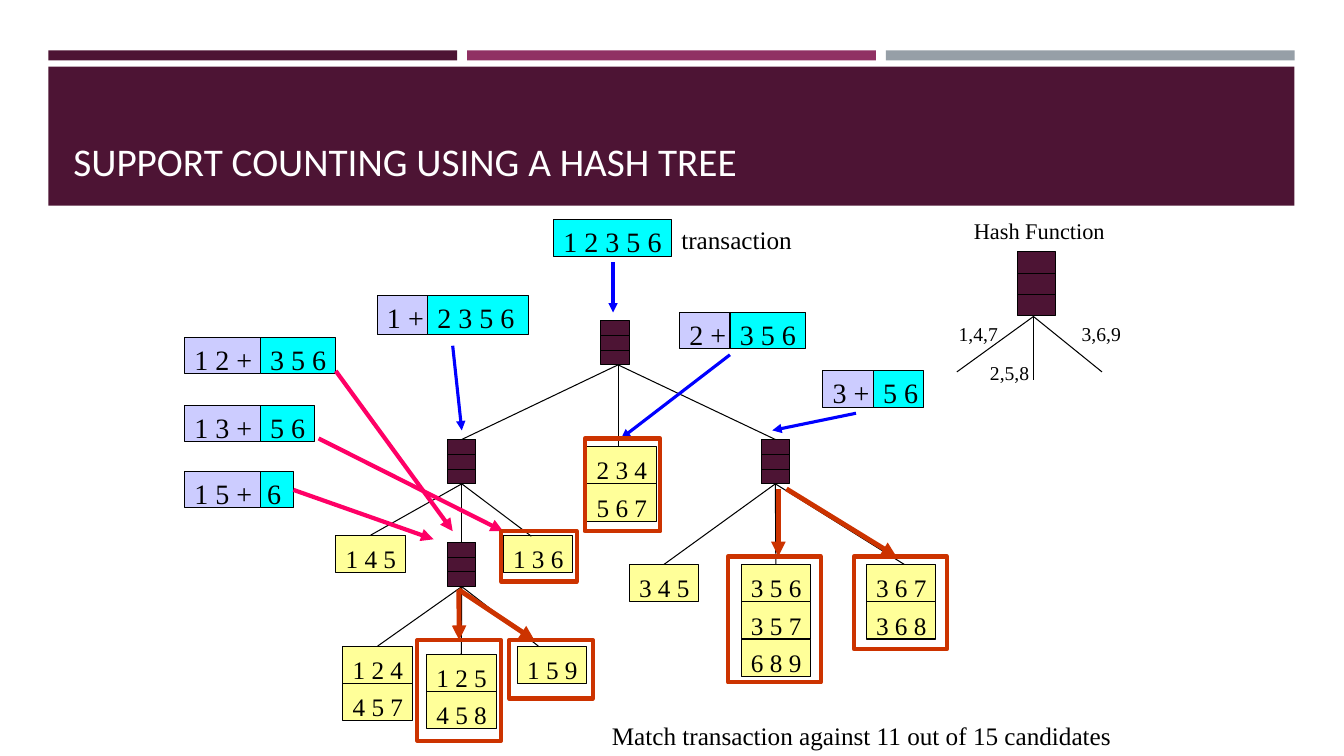
from dataclasses import dataclass

from lxml import etree
from pptx import Presentation
from pptx import util as u
from pptx.dml.color import RGBColor
from pptx.enum import shapes, text
from pptx.oxml import ns


@dataclass(frozen=True)
class Theme:
    """Colours, fonts and type sizes of the slide."""
    plum: str = "4D1434"
    berry: str = "903163"
    grey: str = "969FA7"
    black: str = "000000"
    white: str = "FFFFFF"
    candidate: str = "FFFF99"
    prefix: str = "CCCCFF"
    items: str = "00FFFF"
    first_level: str = "0000FF"
    second_level: str = "FF0066"
    match: str = "CC3300"
    title_font: str = "Calibri"
    body_font: str = "Times New Roman"
    title_size: int = 28
    itemset_size: int = 20
    body_size: int = 18
    key_size: int = 16
    branch_size: int = 14
    hairline: float = 0.75


@dataclass(frozen=True)
class Box:
    """A region in inches."""
    left: float
    top: float
    width: float
    height: float

    def inner(self, left, top, width, height):
        """Return a box placed relative to this one."""
        return Box(self.left + left, self.top + top, width, height)

    def point(self, spot):
        """Return a spot relative to this box as slide coordinates."""
        return self.left + spot[0], self.top + spot[1]

    def lengths(self):
        """Return left, top, width and height as lengths."""
        return [u.Inches(v) for v in (self.left, self.top, self.width, self.height)]


THEME = Theme()
TOLERANCE = u.Inches(0.025)


def write(frame, words, size, color=THEME.black, font=THEME.body_font):
    """Write one left-aligned paragraph."""
    line = frame.paragraphs[0]
    line.text = words
    line.alignment = text.PP_ALIGN.LEFT
    line.font.size = u.Pt(size)
    line.font.name = font
    line.font.color.rgb = RGBColor.from_string(color)


def label(slide, box, words, size, wrap=False):
    """Add free-standing text."""
    frame = slide.shapes.add_textbox(*box.lengths()).text_frame
    frame.word_wrap = wrap
    write(frame, words, size)
    return frame


def rect(slide, box, fill=None, line=None, weight=THEME.hairline):
    """Add a plain rectangle."""
    shape = slide.shapes.add_shape(shapes.MSO_SHAPE.RECTANGLE, *box.lengths())
    shape.shadow.inherit = False
    if fill:
        shape.fill.solid()
        shape.fill.fore_color.rgb = RGBColor.from_string(fill)
    else:
        shape.fill.background()
    if line:
        shape.line.color.rgb = RGBColor.from_string(line)
        shape.line.width = u.Pt(weight)
    else:
        shape.line.fill.background()
    return shape


def itemset(slide, box, words, fill, size, inset_top=0.05, inset_left=0.1):
    """Add an outlined cell holding items."""
    frame = rect(slide, box, fill, THEME.black).text_frame
    frame.word_wrap = True
    frame.vertical_anchor = text.MSO_ANCHOR.TOP
    frame.margin_left, frame.margin_top = u.Inches(inset_left), u.Inches(inset_top)
    frame.margin_right = frame.margin_bottom = 0
    write(frame, words, size)


def side_at(slide, x, y):
    """Find the rectangle and side whose middle lies at a point."""
    for shape in slide.shapes:
        if shape.shape_type != shapes.MSO_SHAPE_TYPE.AUTO_SHAPE:
            continue
        left, top, width, height = shape.left, shape.top, shape.width, shape.height
        middles = ((left + width / 2, top), (left, top + height / 2),
                   (left + width / 2, top + height), (left + width, top + height / 2))
        for side, (mid_x, mid_y) in enumerate(middles):
            if max(abs(mid_x - x), abs(mid_y - y)) <= TOLERANCE:
                return shape, side
    return None


def connect(slide, start, end, color=THEME.black, weight=THEME.hairline, arrow=False):
    """Draw a straight line, joined to the rectangles it meets mid-side."""
    x1, y1, x2, y2 = [u.Inches(v) for v in (*start, *end)]
    edge = slide.shapes.add_connector(shapes.MSO_CONNECTOR.STRAIGHT, x1, y1, x2, y2)
    edge.line.color.rgb = RGBColor.from_string(color)
    edge.line.width = u.Pt(weight)
    if arrow:
        etree.SubElement(edge.line._get_or_add_ln(), ns.qn("a:tailEnd"), type="triangle")
    etree.SubElement(edge._element.spPr, ns.qn("a:effectLst"))
    for join, spot in ((edge.begin_connect, (x1, y1)), (edge.end_connect, (x2, y2))):
        met = side_at(slide, *spot)
        if met:
            join(*met)


def hash_node(slide, box):
    """Draw a three-slot hash node."""
    rect(slide, box, THEME.plum, THEME.black)
    for slot in (1, 2):
        y = box.height * slot / 3
        connect(slide, box.point((0, y)), box.point((box.width, y)))


def header(slide, box):
    """Draw the three accent bars and the title band."""
    gap = 0.1
    bar = (box.width - 2 * gap) / 3
    for column, color in enumerate((THEME.plum, THEME.berry, THEME.grey)):
        rect(slide, box.inner(column * (bar + gap), 0, bar, 0.1), color)
    rect(slide, box.inner(0, 0.16, box.width, box.height - 0.16), THEME.plum)
    frame = label(slide, box.inner(0.15, 0.3, 12.06, 1.08), "", THEME.title_size, True)
    frame.vertical_anchor = text.MSO_ANCHOR.BOTTOM
    write(frame, "SUPPORT COUNTING USING A HASH TREE", THEME.title_size,
          THEME.white, THEME.title_font)


def hash_tree(slide, box):
    """Draw the nodes, candidate leaves and branches."""
    for left, top in ((2.96, 0.18), (1.44, 1.36), (4.55, 1.36), (1.44, 2.38)):
        hash_node(slide, box.inner(left, top, 0.28, 0.44))
    leaves = (
        (0.33, 2.31, ["1 4 5"]), (1.99, 2.31, ["1 3 6"]),
        (2.82, 1.43, ["2 3 4", "5 6 7"]), (3.24, 2.6, ["3 4 5"]),
        (4.35, 2.6, ["3 5 6", "3 5 7", "6 8 9"]), (5.59, 2.6, ["3 6 7", "3 6 8"]),
        (0.4, 3.41, ["1 2 4", "4 5 7"]), (1.23, 3.49, ["1 2 5", "4 5 8"]),
        (2.13, 3.41, ["1 5 9"]))
    for left, top, candidates in leaves:
        for row, candidate in enumerate(candidates):
            cell = box.inner(left, top + 0.37 * row, 0.69, 0.37)
            itemset(slide, cell, candidate, THEME.candidate, THEME.body_size, 0.08)
    branches = {
        (3.13, 0.62): ((1.57, 1.36), (3.13, 1.43), (4.69, 1.36)),
        (1.56, 1.8): ((0.67, 2.32), (1.56, 2.38), (2.27, 2.32)),
        (4.69, 1.8): ((3.58, 2.6), (4.69, 2.6), (5.97, 2.6)),
        (1.57, 2.82): ((0.74, 3.41), (1.57, 3.49), (2.34, 3.41))}
    for parent, children in branches.items():
        for child in children:
            connect(slide, box.point(parent), box.point(child))


def hash_function(slide, box):
    """Draw the key to the hash function."""
    label(slide, box.inner(0.56, 0.11, 1.51, 0.37), "Hash Function", THEME.key_size)
    hash_node(slide, box.inner(1.09, 0.5, 0.38, 0.63))
    for end in ((0.49, 1.69), (1.25, 1.77), (1.93, 1.69)):
        connect(slide, box.point((1.25, 1.14)), box.point(end))
    for left, top, items in ((0.41, 1.14, "1,4,7"), (0.72, 1.53, "2,5,8"), (1.63, 1.14, "3,6,9")):
        label(slide, box.inner(left, top, 0.59, 0.34), items, THEME.branch_size)


def transaction(slide, box):
    """Draw the transaction, its prefix splits and the paths they take."""
    itemset(slide, box.inner(4.49, 0.18, 1.17, 0.37), "1 2 3 5 6", THEME.items, THEME.itemset_size)
    label(slide, box.inner(5.66, 0.18, 1.3, 0.4), "transaction", THEME.body_size)
    splits = (
        (2.74, 0.93, 0.39, "1 +", 0.5, "2 3 5 6", 1, 0.1),
        (5.74, 1.1, 0.36, "2 +", 0.5, "3 5 6", 0.75, 0.1),
        (7.16, 1.68, 0.36, "3 +", 0.5, "5 6", 0.5, 0.1),
        (0.83, 1.35, 0.36, "1 2 +", 0.75, "3 5 6", 0.75, 0.1),
        (0.83, 2.02, 0.36, "1 3 +", 0.75, "5 6", 0.54, 0.1),
        (0.83, 2.68, 0.36, "1 5 +", 0.75, "6", 0.33, 0.07))
    for left, top, height, prefix, prefix_width, rest, rest_width, inset in splits:
        itemset(slide, box.inner(left, top, prefix_width, height), prefix,
                THEME.prefix, THEME.itemset_size)
        itemset(slide, box.inner(left + prefix_width, top, rest_width, height), rest,
                THEME.items, THEME.itemset_size, inset_left=inset)
    first = (((5.08, 0.6), (5.08, 1.1)), ((3.49, 1.43), (3.58, 2.27)),
             ((6.24, 1.52), (5.16, 2.35)), ((7.49, 2.1), (6.66, 2.27)))
    second = (((2.33, 1.68), (3.49, 3.27)), ((1.89, 2.85), (3.3, 3.35)),
              ((2.16, 2.35), (3.99, 3.27)))
    for paths, color, weight in ((first, THEME.first_level, 2.25), (second, THEME.second_level, 3)):
        for start, end in paths:
            connect(slide, box.point(start), box.point(end), color, weight, True)


def matches(slide, box):
    """Frame the visited leaves and draw the last steps to them."""
    for frame in ((0.14, 2.35, 0.83, 1), (1.05, 2.35, 0.83, 0.58), (1.8, 0.35, 0.75, 0.92),
                  (0.97, 1.27, 0.75, 0.5), (3.22, 1.52, 0.92, 1.25), (4.47, 1.52, 0.92, 0.92)):
        rect(slide, box.inner(*frame), None, THEME.match, 3)
    for start, end in (((0.55, 1.85), (0.55, 2.35)), ((0.55, 1.85), (1.3, 2.35)),
                       ((3.72, 0.85), (3.72, 1.52)), ((3.8, 0.85), (4.89, 1.52))):
        connect(slide, box.point(start), box.point(end), THEME.match, 3.5, True)
    label(slide, box.inner(1.97, 3.1, 5.26, 0.4),
          "Match transaction against 11 out of 15 candidates", THEME.body_size, True)


def main():
    """Build and save the slide."""
    deck = Presentation()
    deck.slide_width, deck.slide_height = u.Inches(13.33), u.Inches(7.5)
    slide = deck.slides.add_slide(deck.slide_layouts[6])
    header(slide, Box(0.48, 0.5, 12.36, 1.54))
    hash_tree(slide, Box(3, 3, 6.3, 4.3))
    hash_function(slide, Box(9, 2, 2.3, 2))
    transaction(slide, Box(1, 2, 8.2, 3.4))
    matches(slide, Box(4, 4, 7.3, 3.5))
    deck.save("out.pptx")


if __name__ == "__main__":
    main()
